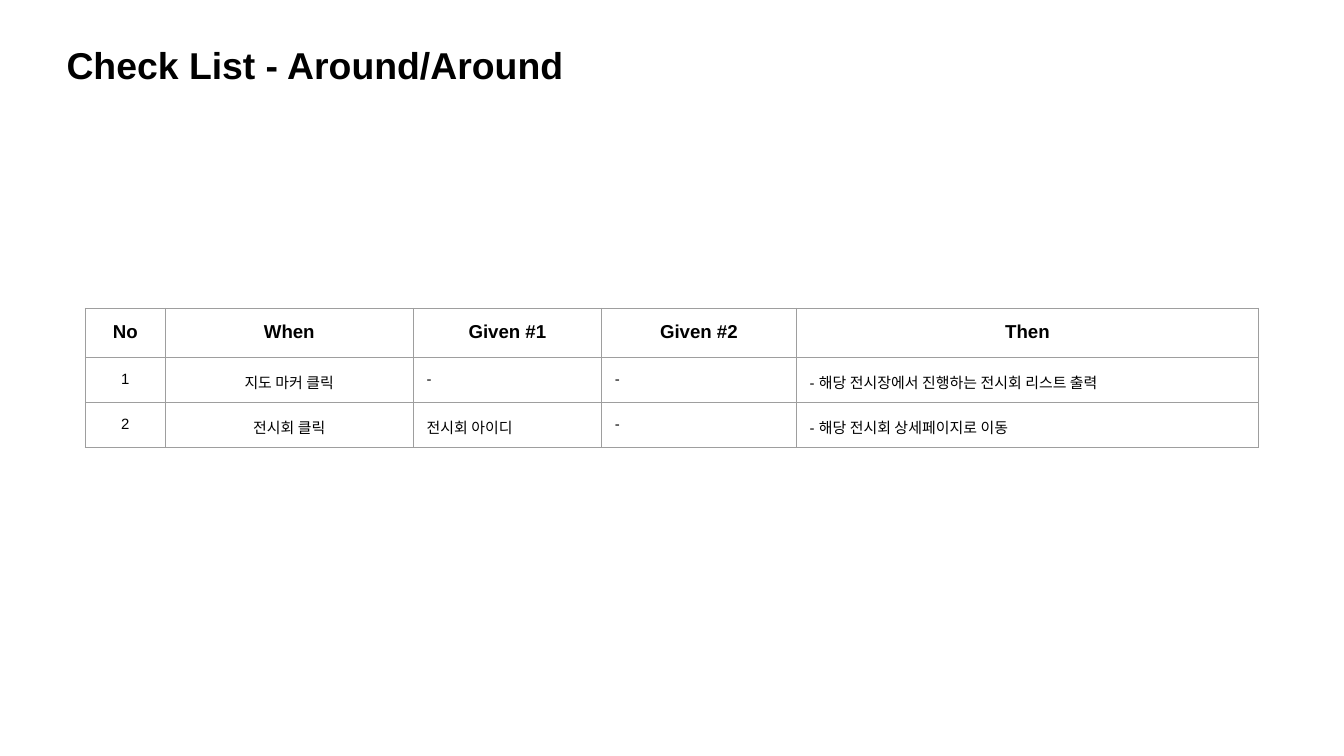
"""Build the check list slide with its title and table of cases."""
from dataclasses import dataclass

from lxml import etree
from pptx import Presentation
from pptx.dml.color import RGBColor
from pptx.enum.text import MSO_ANCHOR, MSO_AUTO_SIZE, PP_ALIGN
from pptx.oxml.ns import qn
from pptx.util import Emu, Pt

LEFT, CENTER = PP_ALIGN.LEFT, PP_ALIGN.CENTER
TOP = MSO_ANCHOR.TOP
FIT_SHAPE = MSO_AUTO_SIZE.SHAPE_TO_FIT_TEXT
PX_PER_INCH = 200
INSET = 20
ROW_HEIGHT = 62
FONT = "Arial"
INK = "000000"
BORDER = "9E9E9E"


@dataclass(frozen=True)
class Column:
    heading: str
    width: int
    align: PP_ALIGN
    entries: tuple[str, ...]


COLUMNS = (
    Column("No", 119, CENTER, ("1", "2")),
    Column("When", 369, CENTER, ("지도 마커 클릭", "전시회 클릭")),
    Column("Given #1", 280, LEFT, ("-", "전시회 아이디")),
    Column("Given #2", 290, LEFT, ("-", "-")),
    Column("Then", 688, LEFT, ("- 해당 전시장에서 진행하는 전시회 리스트 출력",
                               "- 해당 전시회 상세페이지로 이동")),
)


def px(length: int) -> Emu:
    return Emu(length * 914400 // PX_PER_INCH)


def color(value: str) -> RGBColor:
    return RGBColor.from_string(value)


def set_margins(holder) -> None:
    holder.margin_left = holder.margin_right = px(INSET)
    holder.margin_top = holder.margin_bottom = px(INSET)


def write(frame, text: str, size: int, bold: bool, align: PP_ALIGN) -> None:
    frame.text = text
    paragraph = frame.paragraphs[0]
    paragraph.alignment = align
    font = paragraph.font
    font.name, font.size, font.bold = FONT, Pt(size), bold
    font.color.rgb = color(INK)
    paragraph._p.pPr.find(qn("a:defRPr")).set("kern", "0")


def add_borders(cell) -> None:
    properties = cell._tc.get_or_add_tcPr()
    for side in ("lnL", "lnR", "lnT", "lnB"):
        line = etree.SubElement(properties, qn(f"a:{side}"), w=str(Pt(0.75)))
        fill = etree.SubElement(line, qn("a:solidFill"))
        etree.SubElement(fill, qn("a:srgbClr"), val=BORDER)


def fill_cell(cell, text: str, size: int, bold: bool, align: PP_ALIGN) -> None:
    set_margins(cell)
    add_borders(cell)
    cell.fill.background()
    cell.vertical_anchor = TOP
    write(cell.text_frame, text, size, bold, align)


def add_title(slide, text: str) -> None:
    title = slide.shapes.title
    title.left, title.top, title.width, title.height = map(px, (79, 43, 1188, 108))
    frame = title.text_frame
    frame.word_wrap = True
    frame.auto_size = FIT_SHAPE
    frame.vertical_anchor = TOP
    set_margins(frame)
    write(frame, text, 20, True, LEFT)


def add_check_table(slide, columns: tuple[Column, ...]) -> None:
    row_count = 1 + len(columns[0].entries)
    width = sum(column.width for column in columns)
    table = slide.shapes.add_table(
        row_count, len(columns), px(127), px(459), px(width), px(ROW_HEIGHT * row_count)
    ).table
    table.first_row = table.horz_banding = False
    for index, column in enumerate(columns):
        table.columns[index].width = px(column.width)
        fill_cell(table.cell(0, index), column.heading, 10, True, CENTER)
        for row, entry in enumerate(column.entries, start=1):
            fill_cell(table.cell(row, index), entry, 8, False, column.align)


def main() -> None:
    deck = Presentation()
    deck.slide_width, deck.slide_height = px(2000), px(1125)
    slide = deck.slides.add_slide(deck.slide_layouts[5])
    add_title(slide, "Check List - Around/Around")
    add_check_table(slide, COLUMNS)
    deck.save("out.pptx")


if __name__ == "__main__":
    main()
